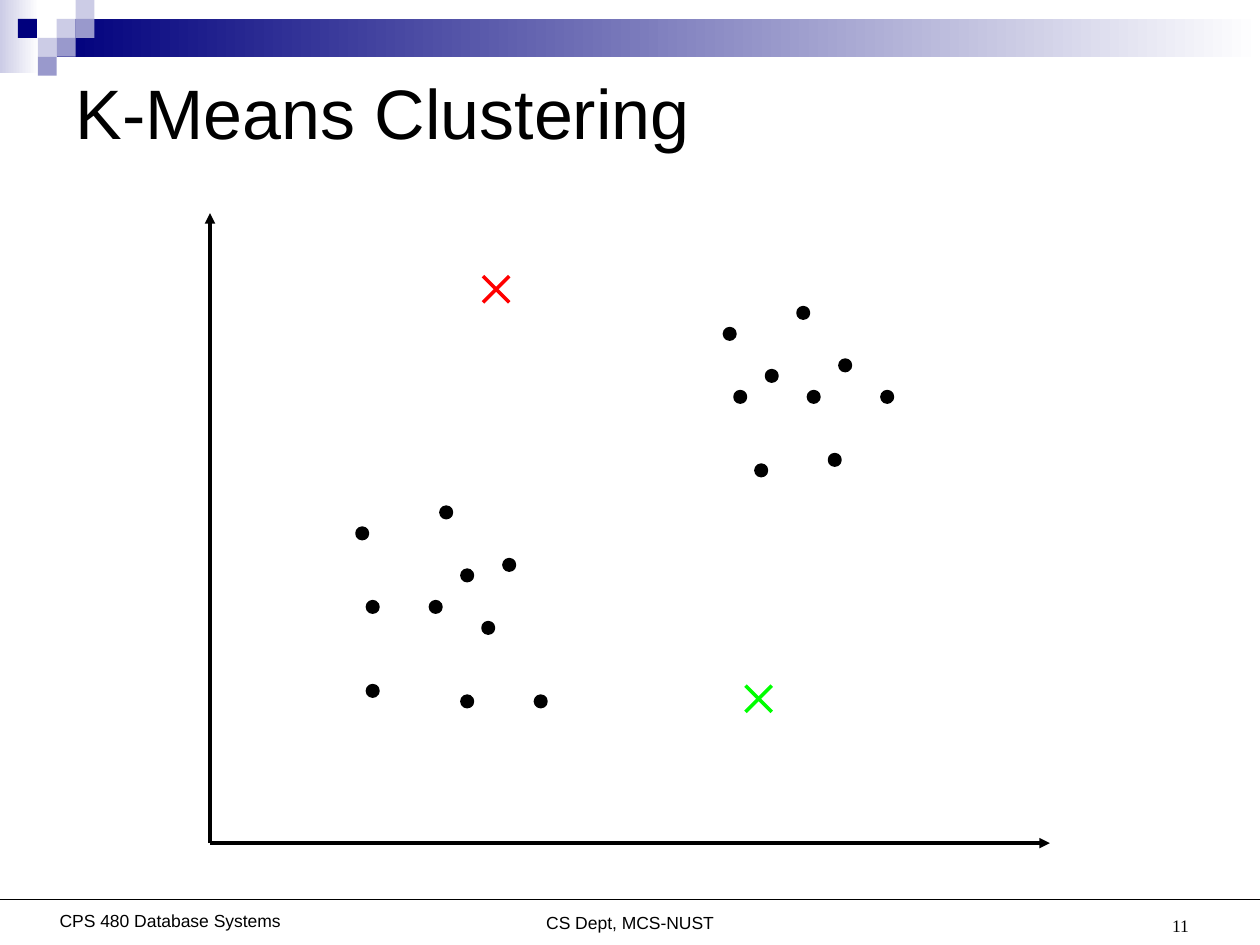
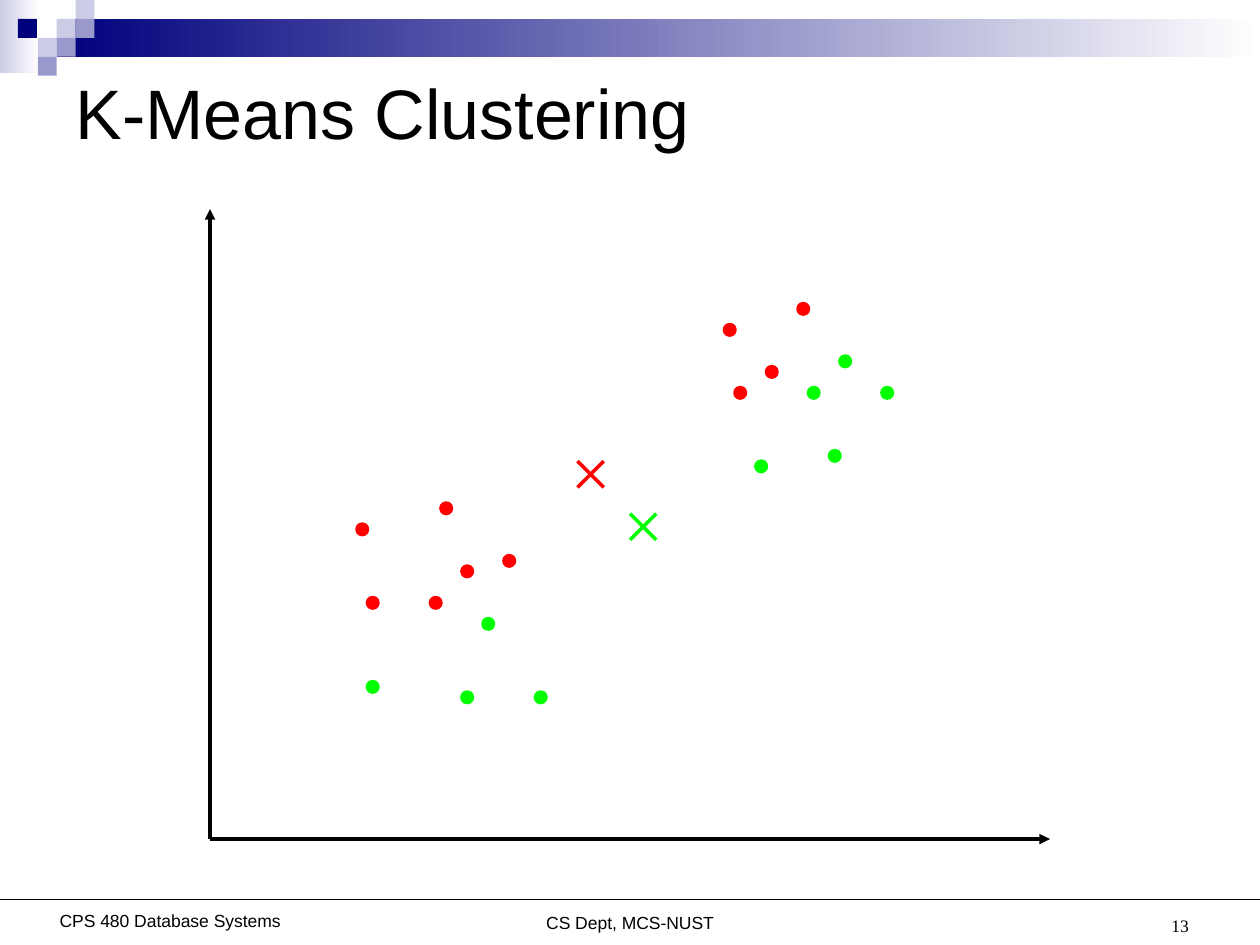
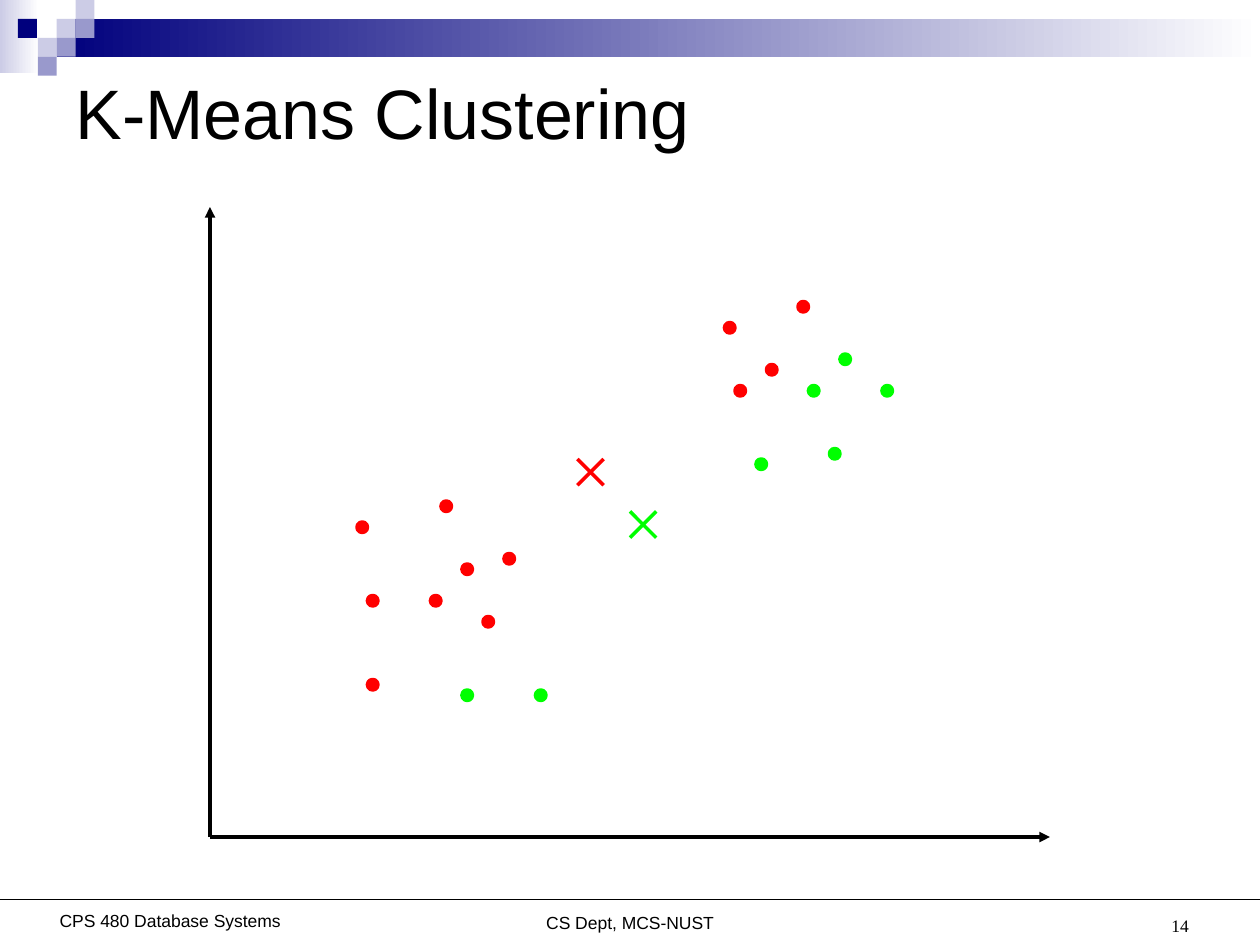
from dataclasses import dataclass

from lxml.etree import SubElement
from pptx import Presentation
from pptx.dml.color import RGBColor
from pptx.enum.shapes import MSO_CONNECTOR, MSO_SHAPE
from pptx.enum.text import MSO_ANCHOR, MSO_AUTO_SIZE, PP_ALIGN
from pptx.oxml.ns import qn
from pptx.util import Pt


@dataclass(frozen=True)
class Theme:
    """Colours, fonts and sizes shared by all slides."""
    black: str = "000000"
    white: str = "FFFFFF"
    navy: str = "00007D"
    lavender: str = "CCCCE6"
    violet: str = "9999CC"
    red: str = "FF0000"
    green: str = "00FF00"
    sans: str = "Arial"
    serif: str = "Times New Roman"
    title_size: int = 40
    footer_size: int = 10
    stroke: float = 2
    hairline: float = 0.75


THEME = Theme()
WIDTH, HEIGHT = 720, 540
TILE = 10.8
UNIT = 6
AXIS_X = 120
AXIS_UNITS = (80, 60)
DOT_SIZE = 6
CROSS_SIZE = 15

TILES = [
    (3, 1, THEME.lavender), (4, 0, THEME.lavender), (4, 1, THEME.violet),
    (2, 2, THEME.lavender), (0.95, 1, THEME.navy), (3, 2, THEME.violet),
    (2, 3, THEME.violet),
]
OBSERVATIONS = [
    (49, 49), (50, 43), (53, 45), (56, 51), (60, 46), (57, 43), (52, 36),
    (59, 37), (64, 43), (22, 32), (28, 27), (26, 21), (24, 26), (14, 30),
    (15, 23), (21, 23), (24, 14), (15, 15), (31, 14),
]
CLUSTER_COLORS = {"K": THEME.black, "R": THEME.red, "G": THEME.green}
STEPS = [
    ("11", 481.8, "K" * len(OBSERVATIONS), (26, 54), (51, 15)),
    ("13", 479.5, "RRRRGGGGGRRGRRRRGGG", (35, 36), (40, 31)),
    ("14", 478.3, "RRRRGGGGGRRRRRRRGRG", (35, 36), (40, 31)),
]


def rgb(color):
    """Turn a hex string into a colour."""
    return RGBColor.from_string(color)


def add_filled(shapes, kind, box, color, outline=None):
    """Add a flat preset shape with an optional outline."""
    shape = shapes.add_shape(kind, *map(Pt, box))
    shape.shadow.inherit = False
    shape.fill.solid()
    shape.fill.fore_color.rgb = rgb(color)
    if outline:
        shape.line.color.rgb = rgb(outline)
        shape.line.width = Pt(THEME.stroke)
    else:
        shape.line.fill.background()
    return shape


def add_fade(shapes, box, color):
    """Add a rectangle fading to white on its right."""
    band = add_filled(shapes, MSO_SHAPE.RECTANGLE, box, color)
    band.fill.gradient()
    band.fill.gradient_angle = 180
    for stop, stop_color in zip(band.fill.gradient_stops, (THEME.white, color)):
        stop.color.rgb = rgb(stop_color)
    return band


def add_line(shapes, start, end, color, width=THEME.stroke, arrow=False):
    """Add a straight line, with an arrowhead at its end if asked."""
    line = shapes.add_connector(MSO_CONNECTOR.STRAIGHT, *map(Pt, (*start, *end)))
    line.line.color.rgb = rgb(color)
    line.line.width = Pt(width)
    if arrow:
        SubElement(line.line._get_or_add_ln(), qn("a:tailEnd"), type="triangle")
    SubElement(line.element.spPr, qn("a:effectLst"))
    return line


def add_run(paragraph, text, font_name, size):
    """Add one black run to a paragraph."""
    run = paragraph.add_run()
    run.text = text
    run.font.name = font_name
    run.font.size = Pt(size)
    run.font.color.rgb = rgb(THEME.black)


def add_label(shapes, box, text, font_name, align, anchor, top_inset=3.6):
    """Add a small one-line footer text."""
    label = shapes.add_textbox(*map(Pt, box))
    frame = label.text_frame
    frame.word_wrap = True
    frame.vertical_anchor = anchor
    frame.margin_top = Pt(top_inset)
    frame.paragraphs[0].alignment = align
    add_run(frame.paragraphs[0], text, font_name, THEME.footer_size)
    return label


def style_layout(layout, slide):
    """Place the title and move the shared decoration onto the layout."""
    title = layout.placeholders[0]
    title.left, title.top, title.width, title.height = map(Pt, (36, 36, 648, 108))
    title.text_frame.vertical_anchor = MSO_ANCHOR.TOP
    title.text_frame.auto_size = MSO_AUTO_SIZE.NONE

    shapes = slide.shapes
    decoration = [
        add_fade(shapes, (0, 0, 22.3, 41.8), THEME.lavender),
        add_fade(shapes, (3 * TILE, TILE, WIDTH - 3 * TILE, 2 * TILE), THEME.navy),
    ]
    for column, row, color in TILES:
        box = (column * TILE, row * TILE, TILE, TILE)
        decoration.append(add_filled(shapes, MSO_SHAPE.RECTANGLE, box, color))
    for box, text in (
        ((210, 493.2, 300, 36), "CS Dept, MCS-NUST"),
        ((25.2, 491.8, 144, 36), "CPS 480 Database Systems"),
    ):
        decoration.append(add_label(shapes, box, text, THEME.sans,
                                    PP_ALIGN.CENTER, MSO_ANCHOR.TOP, 28))
    decoration.append(add_line(shapes, (0, 514), (WIDTH, 514),
                               THEME.black, THEME.hairline))
    for part in decoration:
        layout.shapes.element.append(part.element)


def add_axes(slide, origin_y):
    """Draw both arrows of the plot as one group."""
    axes = slide.shapes.add_group_shape().shapes
    origin = (AXIS_X, origin_y)
    across, up = (units * UNIT for units in AXIS_UNITS)
    for tip in ((AXIS_X + across, origin_y), (AXIS_X, origin_y - up)):
        add_line(axes, origin, tip, THEME.black, arrow=True)


def plot_position(point, origin_y):
    """Convert plot units to a place on the slide."""
    return AXIS_X + point[0] * UNIT, origin_y - point[1] * UNIT


def add_centroid(slide, point, origin_y, color):
    """Draw a cluster centre as a grouped cross."""
    left, top = plot_position(point, origin_y)
    right, bottom = left + CROSS_SIZE, top + CROSS_SIZE
    cross = slide.shapes.add_group_shape().shapes
    add_line(cross, (left, top), (right, bottom), color)
    add_line(cross, (left, bottom), (right, top), color)


def add_step(slide, number, origin_y, clusters, red_centre, green_centre):
    """Fill one slide with a step of the clustering."""
    add_axes(slide, origin_y)
    for point, cluster in zip(OBSERVATIONS, clusters):
        color = CLUSTER_COLORS[cluster]
        box = (*plot_position(point, origin_y), DOT_SIZE, DOT_SIZE)
        add_filled(slide.shapes, MSO_SHAPE.OVAL, box, color, color)
    add_centroid(slide, red_centre, origin_y, THEME.red)
    add_centroid(slide, green_centre, origin_y, THEME.green)

    heading = slide.shapes.title.text_frame.paragraphs[0]
    heading.alignment = PP_ALIGN.LEFT
    add_run(heading, "K-Means Clustering", THEME.sans, THEME.title_size)
    add_label(slide.shapes, (518.4, 502.5, 168, 36), number, THEME.serif,
              PP_ALIGN.RIGHT, MSO_ANCHOR.BOTTOM)


def main():
    """Build and save the presentation."""
    deck = Presentation()
    deck.slide_width, deck.slide_height = Pt(WIDTH), Pt(HEIGHT)
    layout = deck.slide_layouts.get_by_name("Title Only")
    slides = [deck.slides.add_slide(layout) for _ in STEPS]
    style_layout(layout, slides[0])
    for slide, step in zip(slides, STEPS):
        add_step(slide, *step)
    deck.save("out.pptx")


if __name__ == "__main__":
    main()
